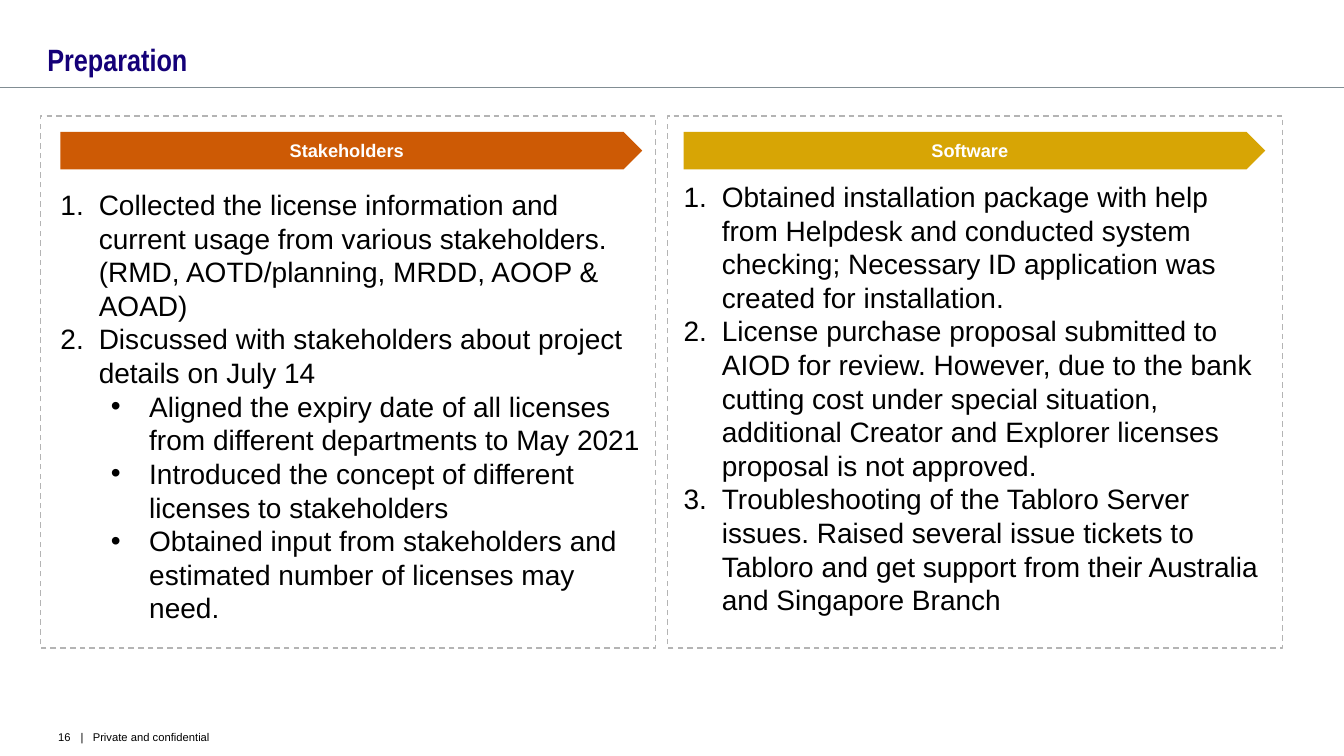
from lxml import etree
from pptx import Presentation
from pptx.dml.color import RGBColor
from pptx.enum.dml import MSO_LINE
from pptx.enum.shapes import MSO_CONNECTOR, MSO_SHAPE as Shape
from pptx.enum.text import MSO_ANCHOR as Anchor, MSO_AUTO_SIZE as AutoSize, PP_ALIGN as Align
from pptx.oxml.ns import qn
from pptx.util import Inches, Pt

# Content: each item is (level, text); level 0 is numbered, level 1 bulleted
TITLE = "Preparation"
PAGE_NUMBER = "16"
FOOTER = "|   Private and confidential"
PANELS = [
    {
        "heading": "Stakeholders", "color": "CD5A05",
        "left": 0.4, "padding": 0.2, "text_top": 1.86,
        "items": [
            (0, "Collected the license information and current usage from various "
                "stakeholders. (RMD, AOTD/planning, MRDD, AOOP & AOAD)"),
            (0, "Discussed with stakeholders about project details on July 14"),
            (1, "Aligned the expiry date of all licenses from different departments to May 2021"),
            (1, "Introduced the concept of different licenses to stakeholders"),
            (1, "Obtained input from stakeholders and estimated number of licenses may need."),
        ],
    },
    {
        "heading": "Software", "color": "D7A505",
        "left": 6.62, "padding": 0.16, "text_top": 1.78,
        "items": [
            (0, "Obtained installation package with help from Helpdesk and conducted system "
                "checking; Necessary ID application was created for installation."),
            (0, "License purchase proposal submitted to AIOD for review. However, due to the "
                "bank cutting cost under special situation, additional Creator and Explorer "
                "licenses proposal is not approved."),
            (0, "Troubleshooting of the Tabloro Server issues. Raised several issue tickets to "
                "Tabloro and get support from their Australia and Singapore Branch"),
        ],
    },
]

THEME = {
    "font": "Arial", "title_font": "Arial Narrow",
    "title": "140078", "text": "000000", "white": "FFFFFF",
    "rule": "818D93", "border": "B4B4B4",
    "title_size": 22, "body_size": 20, "heading_size": 13, "footer_size": 8,
    "body_leading": 24,
}

# Layout, in inches
SLIDE_W, SLIDE_H = 13.33, 7.5
RULE_Y = 0.87
PANEL_TOP, PANEL_W, PANEL_H = 1.15, 6.1, 5.28
HEADING_TOP, HEADING_H = 1.31, 0.37
CONTENT_W, CONTENT_BOTTOM = 5.77, 6.27
FOOTER_TOP, FOOTER_H, NUMBER_W = 7.12, 0.38, 0.7
HANGING, LEVEL_STEP = 0.38, 0.5


def rgb(name):
    return RGBColor.from_string(THEME.get(name, name))


def box(left, top, width, height):
    return [Inches(n) for n in (left, top, width, height)]


def mark_item(paragraph, level):
    """Give a paragraph its hanging indent and its number or bullet."""
    paragraph.level = level
    paragraph.line_spacing = Pt(THEME["body_leading"])
    props = paragraph._p.get_or_add_pPr()
    props.set("marL", str(Inches(HANGING + level * LEVEL_STEP)))
    props.set("indent", str(-Inches(HANGING)))
    etree.SubElement(props, qn("a:buFont"), typeface=THEME["font"])
    if level:
        etree.SubElement(props, qn("a:buChar"), char="•")
    else:
        etree.SubElement(props, qn("a:buAutoNum"), type="arabicPeriod")


def write(shape, items, size, color="text", font="font", bold=False,
          align=Align.LEFT, anchor=Anchor.TOP, insets=(0, 0, 0, 0), listed=False):
    """Fill a shape with (level, text) items in one format."""
    frame = shape.text_frame
    frame.word_wrap = True
    frame.auto_size = AutoSize.NONE
    frame.vertical_anchor = anchor
    (frame.margin_left, frame.margin_top,
     frame.margin_right, frame.margin_bottom) = [Inches(n) for n in insets]
    for index, (level, text) in enumerate(items):
        paragraph = frame.add_paragraph() if index else frame.paragraphs[0]
        paragraph.alignment = align
        if listed:
            mark_item(paragraph, level)
        run = paragraph.add_run()
        run.text = text
        run.font.name = THEME[font]
        run.font.size = Pt(THEME[size])
        run.font.bold = bold
        run.font.color.rgb = rgb(color)


def add_panel(shapes, panel):
    # Dashed frame
    frame = shapes.add_shape(Shape.RECTANGLE, *box(panel["left"], PANEL_TOP, PANEL_W, PANEL_H))
    frame.shadow.inherit = False
    frame.fill.background()
    frame.line.color.rgb = rgb("border")
    frame.line.width = Pt(1)
    frame.line.dash_style = MSO_LINE.DASH

    # Arrow heading
    left = panel["left"] + panel["padding"]
    heading = shapes.add_shape(Shape.PENTAGON, *box(left, HEADING_TOP, CONTENT_W, HEADING_H))
    heading.shadow.inherit = False
    heading.fill.solid()
    heading.fill.fore_color.rgb = rgb(panel["color"])
    heading.line.fill.background()
    write(heading, [(0, panel["heading"])], "heading_size", color="white", bold=True,
          align=Align.CENTER, anchor=Anchor.MIDDLE)

    # Numbered list
    top = panel["text_top"]
    body = shapes.add_textbox(*box(left, top, CONTENT_W, CONTENT_BOTTOM - top))
    write(body, panel["items"], "body_size", listed=True)


def main():
    prs = Presentation()
    prs.slide_width, prs.slide_height = Inches(SLIDE_W), Inches(SLIDE_H)
    slide = prs.slides.add_slide(prs.slide_layouts[5])
    shapes = slide.shapes

    # Title and rule
    title = shapes.title
    title.left, title.top, title.width, title.height = box(0.47, 0, 12.4, RULE_Y)
    write(title, [(0, TITLE)], "title_size", color="title", font="title_font", bold=True,
          anchor=Anchor.BOTTOM, insets=(0, 0.1, 0, 0.1))
    rule = shapes.add_connector(MSO_CONNECTOR.STRAIGHT, 0, Inches(RULE_Y),
                                Inches(SLIDE_W), Inches(RULE_Y))
    rule.line.color.rgb = rgb("rule")
    rule.line.width = Pt(0.5)
    etree.SubElement(rule._element.spPr, qn("a:effectLst"))

    # Panels
    for panel in PANELS:
        add_panel(shapes, panel)

    # Footer
    number = shapes.add_textbox(*box(0, FOOTER_TOP, NUMBER_W, FOOTER_H))
    write(number, [(0, PAGE_NUMBER)], "footer_size", align=Align.RIGHT, anchor=Anchor.MIDDLE)
    footer = shapes.add_textbox(*box(NUMBER_W, FOOTER_TOP, 10.95, FOOTER_H))
    write(footer, [(0, FOOTER)], "footer_size", anchor=Anchor.MIDDLE, insets=(0.1, 0, 0.5, 0))

    prs.save("out.pptx")


if __name__ == "__main__":
    main()
